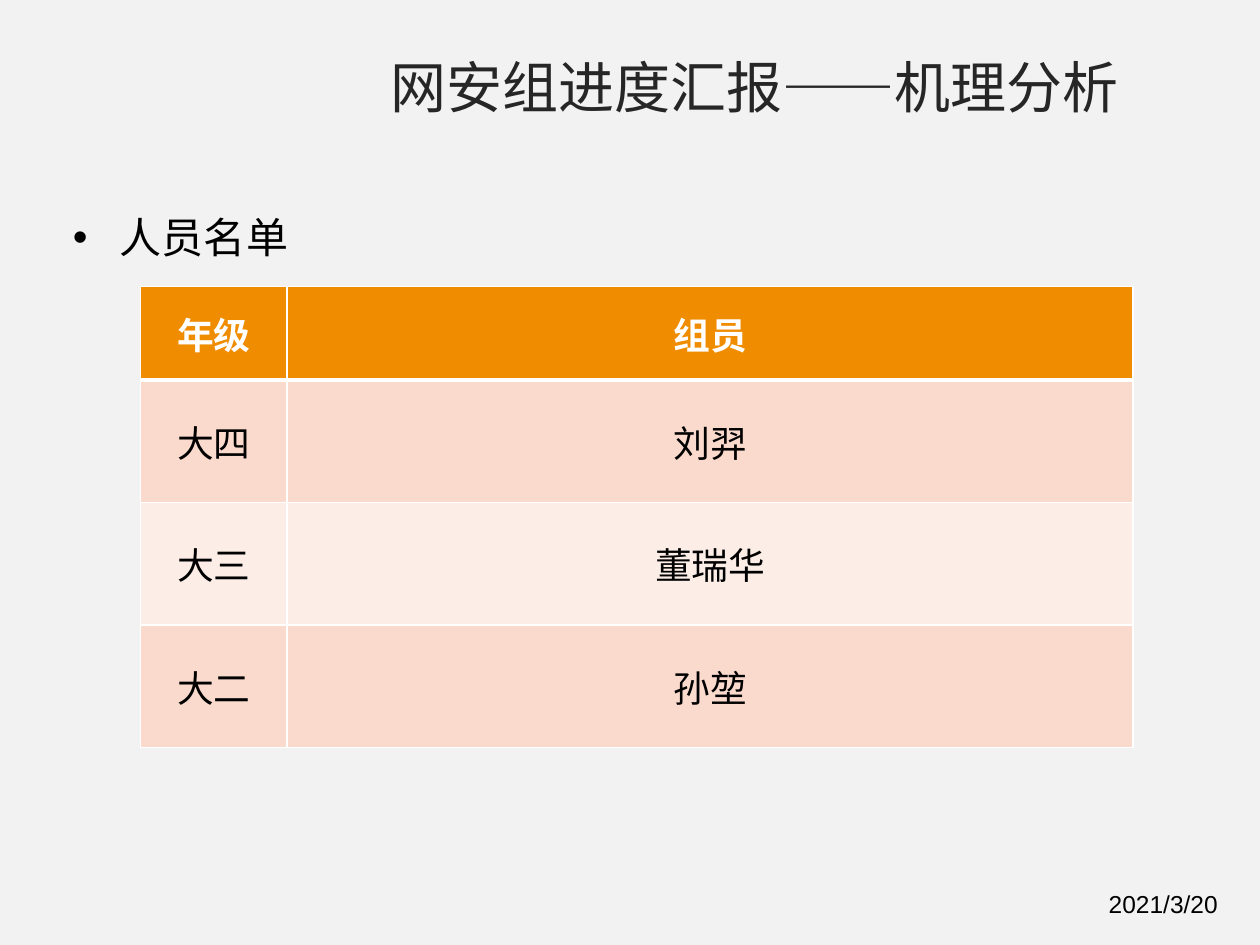
from dataclasses import dataclass

from lxml import etree
from pptx import Presentation
from pptx.dml.color import RGBColor
from pptx.enum import text as t
from pptx.oxml import ns
from pptx.util import Cm, Pt


@dataclass(frozen=True)
class Theme:
    back: str = "F2F2F2"
    head: str = "F08C00"
    bands: tuple = ("F9DACC", "FCEEE7")
    white: str = "FFFFFF"
    black: str = "000000"
    dark: str = "262626"
    title: int = 32
    body: int = 24
    cell: int = 21
    date: int = 14
    han: str = "Noto Sans CJK SC"
    latin: str = "Calibri"
    plain: str = "Arial"


THEME = Theme()


def add_node(parent, tag, **attrs):
    return etree.SubElement(parent, ns.qn(tag), **attrs)


def write(frame, words, size, font=THEME.han, color=THEME.black,
          bold=False, align=None, bullet=None):
    para = frame.paragraphs[0]
    para.alignment = align
    if bullet:
        props = para._p.get_or_add_pPr()
        props.set("marL", str(Cm(0.95)))
        props.set("indent", str(-Cm(0.95)))
        add_node(props, "a:buFont", typeface=THEME.plain)
        add_node(props, "a:buChar", char=bullet)
    run = para.add_run()
    run.text = words
    run.font.size = Pt(size)
    run.font.bold = bold
    run.font.name = font
    run.font.color.rgb = RGBColor.from_string(color)
    add_node(run._r.get_or_add_rPr(), "a:ea", typeface=THEME.han)


def add_label(slide, box, words, size, wrap=True, grow=False, **style):
    frame = slide.shapes.add_textbox(*map(Cm, box)).text_frame
    frame.word_wrap = wrap
    if grow:
        frame.auto_size = t.MSO_AUTO_SIZE.SHAPE_TO_FIT_TEXT
    write(frame, words, size, **style)


def set_edges(cell, below):
    props = cell._tc.get_or_add_tcPr()
    widths = {"a:lnL": 1, "a:lnR": 1, "a:lnT": 1, "a:lnB": 1}
    widths[below] = 3 if below else 1
    for spot, (tag, width) in enumerate(
            (tag, width) for tag, width in widths.items() if tag):
        line = add_node(props, tag, w=str(Pt(width)))
        fill = add_node(line, "a:solidFill")
        add_node(fill, "a:srgbClr", val=THEME.white)
        props.insert(spot, line)


def add_grid(slide, spot, cols, rows, data):
    left, top = spot
    table = slide.shapes.add_table(
        len(rows), len(cols), Cm(left), Cm(top), Cm(sum(cols)), Cm(sum(rows))
    ).table
    for col, width in zip(table.columns, cols):
        col.width = Cm(width)
    for i, (row, height) in enumerate(zip(table.rows, rows)):
        row.height = Cm(height)
        fill = THEME.bands[(i - 1) % 2] if i else THEME.head
        color = THEME.black if i else THEME.white
        thick = {0: "a:lnB", 1: "a:lnT"}.get(i)
        for cell, words in zip(row.cells, data[i]):
            cell.fill.solid()
            cell.fill.fore_color.rgb = RGBColor.from_string(fill)
            cell.vertical_anchor = t.MSO_ANCHOR.MIDDLE
            set_edges(cell, thick)
            write(cell.text_frame, words, THEME.cell, font=THEME.latin,
                  color=color, bold=i == 0, align=t.PP_ALIGN.CENTER)


def main():
    deck = Presentation()
    deck.slide_width, deck.slide_height = Cm(25.4), Cm(19.05)
    slide = deck.slides.add_slide(deck.slide_layouts[6])
    slide.background.fill.solid()
    slide.background.fill.fore_color.rgb = RGBColor.from_string(THEME.back)

    add_label(slide, (1.22, 4.14, 6.93, 1.65), "人员名单", THEME.body,
              bullet="•")
    members = [("年级", "组员"), ("大四", "刘羿"),
               ("大三", "董瑞华"), ("大二", "孙堃")]
    add_grid(slide, (2.83, 5.78), (2.96, 17.05), (1.88, *[2.47] * 3), members)
    add_label(slide, (7.62, 0.94, 15.52, 1.63), "网安组进度汇报——机理分析",
              THEME.title, wrap=False, grow=True, color=THEME.dark)
    add_label(slide, (22.1, 17.8, 3.35, 0.86), "2021/3/20", THEME.date,
              grow=True, font=THEME.plain)
    deck.save("out.pptx")


if __name__ == "__main__":
    main()
